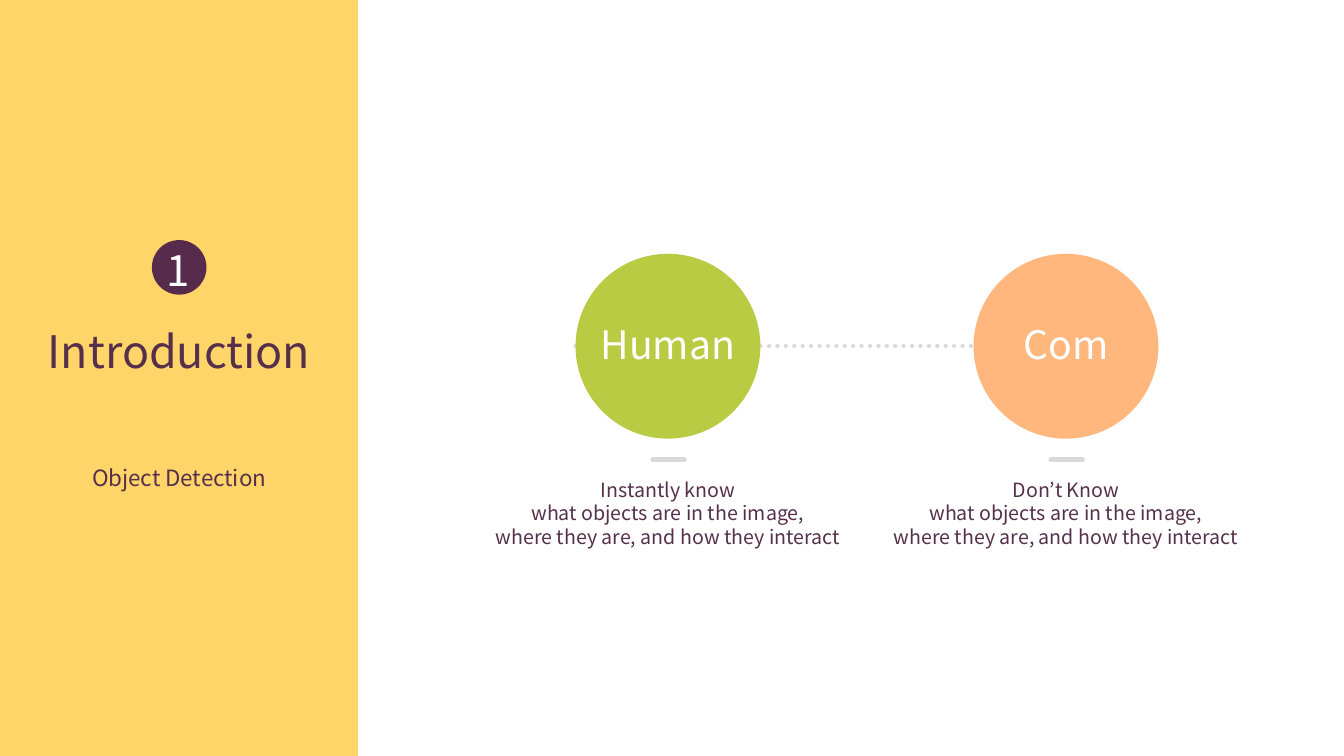
import pptx
import pptx.dml.color
import pptx.enum.dml
import pptx.enum.shapes
import pptx.enum.text
import pptx.oxml.ns
import pptx.util
import lxml.etree

Pt = pptx.util.Pt
Kind = pptx.enum.shapes.MSO_SHAPE
Mid = pptx.enum.text.MSO_ANCHOR.MIDDLE
Top = pptx.enum.text.MSO_ANCHOR.TOP
tint = pptx.dml.color.RGBColor.from_string
plum = "56304B"


def write(shape, lines, size, hue, anchor=Top, foot=0):
    frame = shape.text_frame
    form = {
        "margin_left": 0, "margin_right": 0, "margin_top": 0,
        "margin_bottom": Pt(foot), "word_wrap": False,
        "auto_size": pptx.enum.text.MSO_AUTO_SIZE.NONE,
        "vertical_anchor": anchor,
    }
    for name, value in form.items():
        setattr(frame, name, value)
    frame.text = "\n".join(lines)
    for para in frame.paragraphs:
        look = {"alignment": pptx.enum.text.PP_ALIGN.CENTER,
                "space_before": Pt(0), "line_spacing": 1.0}
        for name, value in look.items():
            setattr(para, name, value)
        face = {"name": "Noto Sans CJK KR", "size": Pt(size), "bold": False}
        for name, value in face.items():
            setattr(para.font, name, value)
        para.font.color.rgb = tint(hue)


def place(kind, left, top, wide, high, hue):
    shape = shapes.add_shape(kind, Pt(left), Pt(top), Pt(wide), Pt(high))
    shape.shadow.inherit = False
    shape.fill.solid()
    shape.fill.fore_color.rgb = tint(hue)
    shape.line.fill.background()
    return shape


deck = pptx.Presentation()
deck.slide_width = Pt(960)
deck.slide_height = Pt(540)
slide = deck.slides.add_slide(deck.slide_layouts[0])
shapes = slide.shapes

panel = place(Kind.RECTANGLE, 0, 0, 255.6, 540, "FFD569")
shapes._spTree.insert(2, panel._element)

heads = [
    (shapes.title, "Introduction", 32, 30, 231.1, 196, 39),
    (slide.placeholders[1], "Object Detection", 16, 65, 331.2, 126, 19.4),
]
for shape, words, size, left, top, wide, high in heads:
    box = {"left": left, "top": top, "width": wide, "height": high}
    for name, value in box.items():
        setattr(shape, name, Pt(value))
    write(shape, [words], size, plum)

place(Kind.OVAL, 108.5, 171.5, 39, 39, "562B4B")
digit = shapes.add_textbox(Pt(118), Pt(175), Pt(19), Pt(36))
write(digit, ["1"], 30, "FFFFFF")

size = 132
mids = [477.1, 761.4]
rules = [(mids[0] - size / 2, mids[1] + size / 2, 247, True)]
rules += [(mid - 11, mid + 12, 328.3, False) for mid in mids]
for start, end, high, dots in rules:
    rule = shapes.add_connector(
        pptx.enum.shapes.MSO_CONNECTOR.STRAIGHT,
        Pt(start), Pt(high), Pt(end), Pt(high))
    rule.line.color.rgb = tint("D9D9D9")
    rule.line.width = Pt(3)
    if dots:
        rule.line.dash_style = pptx.enum.dml.MSO_LINE.ROUND_DOT
    rule.line._get_or_add_ln().set("cap", "rnd")
    lxml.etree.SubElement(rule._element.spPr, pptx.oxml.ns.qn("a:effectLst"))

sides = [("Human", "B8CB43", "Instantly know"),
         ("Com", "FFB77E", "Don’t Know")]
for mid, (label, hue, lead) in zip(mids, sides):
    disc = place(Kind.OVAL, mid - size / 2, 181.3, size, size, hue)
    write(disc, [label], 28, "FFFFFF", Mid, 3)
    note = shapes.add_textbox(Pt(mid - 129), Pt(341.3), Pt(258), Pt(51))
    write(note, [lead, "what objects are in the image,",
                 "where they are, and how they interact"], 14, plum)

deck.save("out.pptx")
